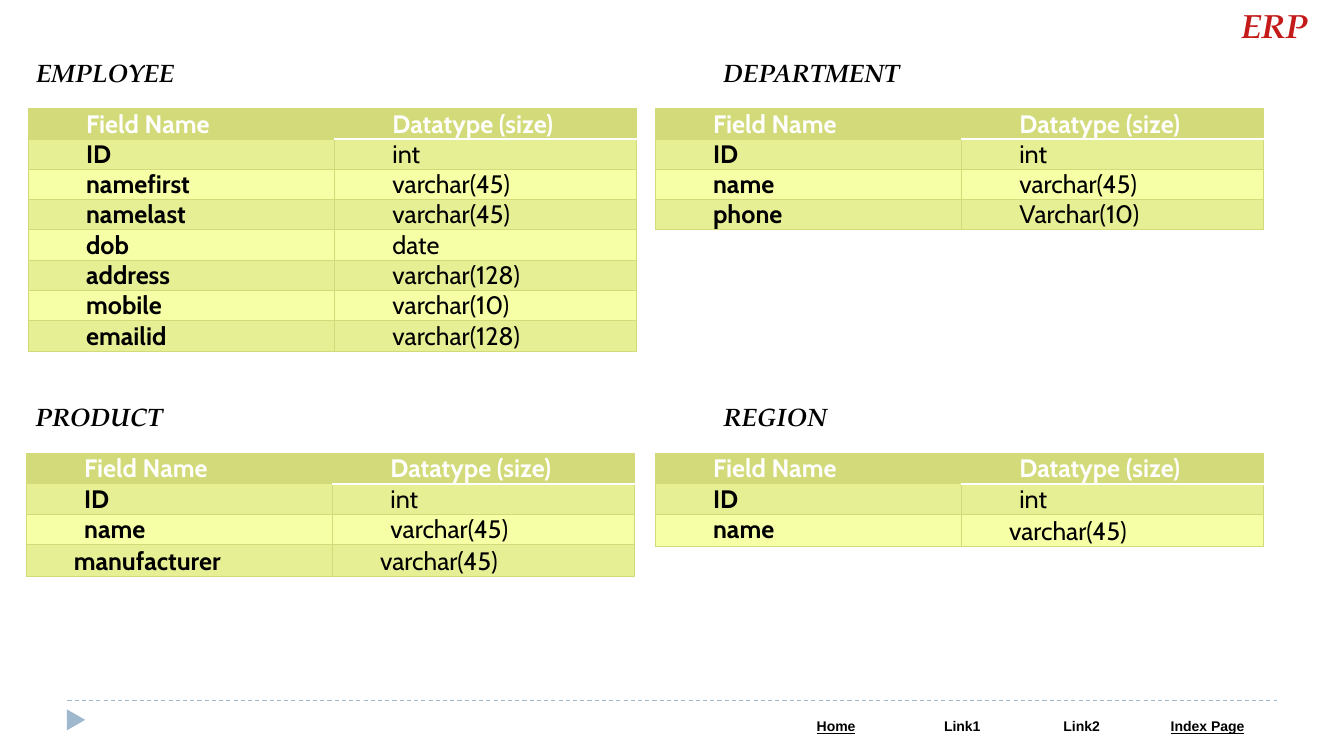
from dataclasses import dataclass

from lxml.etree import SubElement
from pptx import Presentation
from pptx.dml.color import RGBColor
from pptx.enum.dml import MSO_LINE
from pptx.enum.shapes import MSO_CONNECTOR, MSO_SHAPE
from pptx.enum.text import MSO_AUTO_SIZE, PP_ALIGN
from pptx.oxml.ns import qn
from pptx.slide import Slide
from pptx.table import Table, _Cell
from pptx.text.text import _Paragraph
from pptx.util import Cm, Pt

WHITE = RGBColor(0xFF, 0xFF, 0xFF)
BLACK = RGBColor(0x00, 0x00, 0x00)
RED = RGBColor(0xC4, 0x1A, 0x1A)
BLUE = RGBColor(0x9F, 0xB8, 0xCD)
OLIVE = RGBColor(0xD2, 0xDA, 0x7A)
DARK_BAND = RGBColor(0xE7, 0xEF, 0x95)
LIGHT_BAND = RGBColor(0xF6, 0xFF, 0xA6)

PLAIN_STYLE = "{2D5ABB26-0587-4C30-8999-92F81FD0307C}"
HEADING_FONT = "TeX Gyre Pagella"
FIELD_FONT = "Cabin"
ROW_HEIGHT = 0.76
TALL_ROW_HEIGHT = 0.81
FIELD_COLUMNS = [7.72, 7.62]
WIDE_INDENT = 1.27
NARROW_INDENT = 1.01
NARROW_SPACING = 1.07


@dataclass(frozen=True)
class Border:
    side: str
    color: RGBColor
    width: float


@dataclass(frozen=True)
class Field:
    name: str
    datatype: str
    narrow_name: bool = False
    narrow_datatype: bool = False


@dataclass(frozen=True)
class Entity:
    title: str
    title_left: float
    title_top: float
    title_width: float
    table_left: float
    table_top: float
    fields: list[Field]


@dataclass(frozen=True)
class FooterLink:
    label: str
    width: float
    underline: bool


ENTITIES = [
    Entity("EMPLOYEE", 0.66, 1.32, 4.19, 0.71, 2.74, [
        Field("ID", "int"),
        Field("namefirst", "varchar(45)"),
        Field("namelast", "varchar(45)"),
        Field("dob", "date"),
        Field("address", "varchar(128)"),
        Field("mobile", "varchar(10)"),
        Field("emailid", "varchar(128)"),
    ]),
    Entity("DEPARTMENT", 17.98, 1.32, 5.16, 16.51, 2.74, [
        Field("ID", "int"),
        Field("name", "varchar(45)"),
        Field("phone", "Varchar(10)"),
    ]),
    Entity("PRODUCT", 0.64, 9.98, 3.94, 0.66, 11.43, [
        Field("ID", "int"),
        Field("name", "varchar(45)"),
        Field("manufacturer", "varchar(45)", True, True),
    ]),
    Entity("REGION", 17.98, 9.98, 3.3, 16.51, 11.43, [
        Field("ID", "int"),
        Field("name", "varchar(45)", narrow_datatype=True),
    ]),
]

FOOTER_LINKS = [
    FooterLink("Home", 3.18, True),
    FooterLink("Link1", 3.18, False),
    FooterLink("Link2", 2.84, False),
    FooterLink("Index Page", 3.5, True),
]


def style_text(paragraph: _Paragraph, name: str, size: float, color: RGBColor,
               bold: bool = True, italic: bool = False) -> None:
    font = paragraph.font
    font.name, font.size = name, Pt(size)
    font.bold, font.italic = bold, italic
    font.color.rgb = color


def add_heading(page: Slide, text: str, left: float, top: float, width: float,
                height: float, size: float, color: RGBColor,
                align: PP_ALIGN, wrap: bool) -> None:
    box = page.shapes.add_textbox(Cm(left), Cm(top), Cm(width), Cm(height))
    frame = box.text_frame
    frame.word_wrap = wrap
    frame.auto_size = MSO_AUTO_SIZE.SHAPE_TO_FIT_TEXT
    paragraph = frame.paragraphs[0]
    paragraph.text = text
    paragraph.alignment = align
    style_text(paragraph, HEADING_FONT, size, color, italic=True)


def add_plain_table(page: Slide, left: float, top: float,
                    columns: list[float], rows: list[float]) -> Table:
    frame = page.shapes.add_table(len(rows), len(columns), Cm(left), Cm(top),
                                  Cm(sum(columns)), Cm(sum(rows)))
    table = frame.table
    table.first_row = table.horz_banding = False
    table._tbl.tblPr.find(qn("a:tableStyleId")).text = PLAIN_STYLE
    for column, width in zip(table.columns, columns):
        column.width = Cm(width)
    for row, height in zip(table.rows, rows):
        row.height = Cm(height)
    return table


def paint_cell(cell: _Cell, fill: RGBColor, borders: list[Border],
               margin_x: float, margin_y: float) -> None:
    cell.margin_left = cell.margin_right = Cm(margin_x)
    cell.margin_top = cell.margin_bottom = Cm(margin_y)
    properties = cell._tc.get_or_add_tcPr()
    for border in borders:
        line = SubElement(properties, qn(f"a:ln{border.side}"), w=str(Pt(border.width)))
        solid = SubElement(line, qn("a:solidFill"))
        SubElement(solid, qn("a:srgbClr"), val=str(border.color))
    cell.fill.solid()
    cell.fill.fore_color.rgb = fill


def fill_field_cell(table: Table, row: int, column: int, text: str, narrow: bool) -> None:
    header = row == 0
    cell = table.cell(row, column)
    underline = Border("B", WHITE, 1.5) if header and column else Border("B", OLIVE, 0.75)
    top = Border("T", WHITE, 1.5) if row == 1 and column else Border("T", OLIVE, 0.75)
    borders = [Border("L", OLIVE, 1.5 if column else 0.75),
               Border("R", OLIVE, 0.75 if column else 1.5), top, underline]
    band = DARK_BAND if row % 2 else LIGHT_BAND
    paint_cell(cell, OLIVE if header else band, borders, 0.19, 0)
    paragraph = cell.text_frame.paragraphs[0]
    paragraph.text = text
    indent = NARROW_INDENT if narrow else WIDE_INDENT
    paragraph._p.get_or_add_pPr().set("marL", str(Cm(indent)))
    if narrow:
        paragraph.line_spacing = NARROW_SPACING
    style_text(paragraph, FIELD_FONT, 18, WHITE if header else BLACK,
               bold=header or column == 0)


def add_entity(page: Slide, entity: Entity) -> None:
    add_heading(page, entity.title, entity.title_left, entity.title_top,
                entity.title_width, 1.02, 18, BLACK, PP_ALIGN.LEFT, False)
    lines = [Field("Field Name", "Datatype (size)"), *entity.fields]
    heights = [TALL_ROW_HEIGHT if line.narrow_datatype else ROW_HEIGHT for line in lines]
    table = add_plain_table(page, entity.table_left, entity.table_top,
                            FIELD_COLUMNS, heights)
    for row, line in enumerate(lines):
        fill_field_cell(table, row, 0, line.name, line.narrow_name)
        fill_field_cell(table, row, 1, line.datatype, line.narrow_datatype)


def add_footer(page: Slide) -> None:
    marker = page.shapes.add_shape(MSO_SHAPE.ISOSCELES_TRIANGLE,
                                   Cm(1.65), Cm(17.91), Cm(0.53), Cm(0.46))
    marker.rotation = 90
    marker.shadow.inherit = False
    marker.fill.solid()
    marker.fill.fore_color.rgb = BLUE
    marker.line.fill.background()

    rule = page.shapes.add_connector(MSO_CONNECTOR.STRAIGHT,
                                     Cm(1.7), Cm(17.65), Cm(32.18), Cm(17.65))
    rule.line.color.rgb = BLUE
    rule.line.width = Pt(0.75)
    rule.line.dash_style = MSO_LINE.DASH
    SubElement(rule._element.spPr, qn("a:effectLst"))

    table = add_plain_table(page, 19.48, 17.98, [link.width for link in FOOTER_LINKS], [0.69])
    borders = [Border(side, WHITE, 3 if side == "B" else 1) for side in "LRTB"]
    for column, link in enumerate(FOOTER_LINKS):
        cell = table.cell(0, column)
        paint_cell(cell, WHITE, borders, 0.33, 0.13)
        paragraph = cell.text_frame.paragraphs[0]
        paragraph.text = link.label
        paragraph.alignment = PP_ALIGN.CENTER
        style_text(paragraph, "Arial", 10, BLACK)
        paragraph.font.underline = link.underline


def main() -> None:
    deck = Presentation()
    deck.slide_width, deck.slide_height = Cm(33.87), Cm(19.05)
    page = deck.slides.add_slide(deck.slide_layouts[6])
    add_footer(page)
    add_heading(page, "ERP", 0.66, 0, 32.56, 1.27, 24, RED, PP_ALIGN.RIGHT, True)
    for entity in ENTITIES:
        add_entity(page, entity)
    deck.save("out.pptx")


if __name__ == "__main__":
    main()
